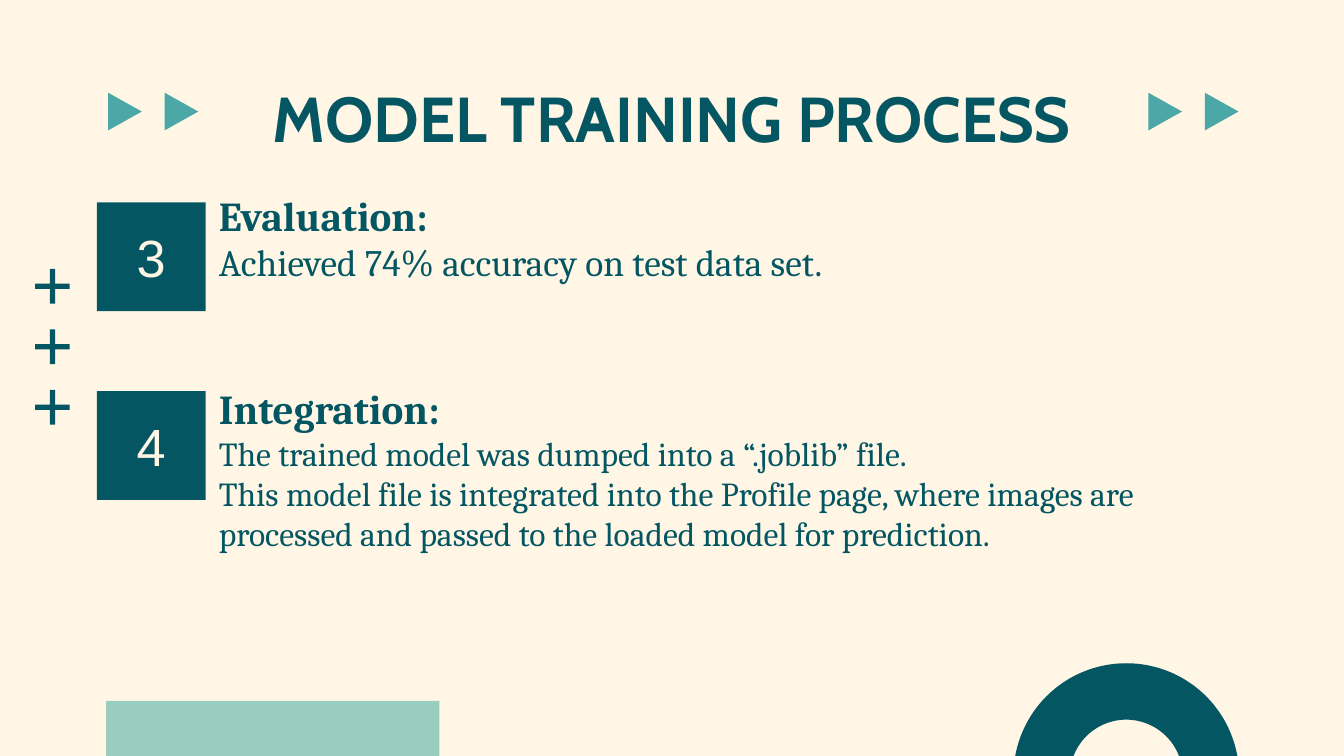
from dataclasses import dataclass

from pptx import Presentation
from pptx.dml.color import RGBColor
from pptx.enum.shapes import MSO_SHAPE
from pptx.enum.text import MSO_ANCHOR, PP_ALIGN
from pptx.util import Emu, Pt

RECTANGLE = MSO_SHAPE.RECTANGLE
DONUT = MSO_SHAPE.DONUT
PLUS = MSO_SHAPE.MATH_PLUS
TRIANGLE = MSO_SHAPE.ISOSCELES_TRIANGLE
LEFT, CENTER = PP_ALIGN.LEFT, PP_ALIGN.CENTER
TOP, MIDDLE = MSO_ANCHOR.TOP, MSO_ANCHOR.MIDDLE

EMU_PER_PX = 4572
SLIDE_WIDTH, SLIDE_HEIGHT = 2000, 1125
INSET = 20


@dataclass(frozen=True)
class Theme:
    cream: str = "FFF6E6"
    navy: str = "045762"
    teal: str = "4CA7A7"
    mint: str = "99CEBE"
    title_font: str = "Cabin"
    body_font: str = "Cambria"
    number_font: str = "Arial"
    title_size: int = 34
    number_size: int = 28
    heading_size: int = 22
    result_size: int = 20
    detail_size: int = 18
    step_gap: int = 53


@dataclass(frozen=True)
class Box:
    left: int
    top: int
    width: int
    height: int


@dataclass(frozen=True)
class Figure:
    kind: MSO_SHAPE
    box: Box
    color: str
    rotation: int = 0
    adjustment: float | None = None


@dataclass(frozen=True)
class Step:
    number: str
    top: int
    heading: str
    details: tuple[str, ...]
    detail_size: int
    space_before: int = 0


THEME = Theme()

STEPS = (
    Step("3", 301, "Evaluation:", ("Achieved 74% accuracy on test data set.",), THEME.result_size),
    Step(
        "4",
        582,
        "Integration:",
        (
            "The trained model was dumped into a “.joblib” file.",
            "This model file is integrated into the Profile page, where images are "
            "processed and passed to the loaded model for prediction.",
        ),
        THEME.detail_size,
        THEME.step_gap,
    ),
)

DECORATIONS = (
    Figure(RECTANGLE, Box(158, 1043, 496, 82), THEME.mint),
    Figure(DONUT, Box(1508, 987, 336, 336), THEME.navy, adjustment=0.25),
    *(Figure(PLUS, Box(43, 391 + 90 * row, 70, 70), THEME.navy, 90, 0.11) for row in range(3)),
    *(
        Figure(TRIANGLE, Box(start + 84 * column, 141, 56, 50), THEME.teal, 90)
        for start in (158, 1706)
        for column in range(2)
    ),
)


def px(length: int) -> Emu:
    return Emu(length * EMU_PER_PX)


def place(box: Box) -> tuple[Emu, Emu, Emu, Emu]:
    return px(box.left), px(box.top), px(box.width), px(box.height)


def draw_figure(slide, figure: Figure):
    shape = slide.shapes.add_shape(figure.kind, *place(figure.box))
    shape.shadow.inherit = False
    shape.fill.solid()
    shape.fill.fore_color.rgb = RGBColor.from_string(figure.color)
    shape.line.fill.background()
    shape.rotation = figure.rotation
    if figure.adjustment is not None:
        shape.adjustments[0] = figure.adjustment
    return shape


def prepare_frame(shape, anchor: MSO_ANCHOR = TOP):
    frame = shape.text_frame
    frame.word_wrap = True
    frame.vertical_anchor = anchor
    frame.margin_left = frame.margin_right = px(INSET)
    frame.margin_top = frame.margin_bottom = px(INSET)
    return frame


def write(paragraph, text: str, *, font: str, size: int, color: str = THEME.navy,
          bold: bool = False, align: PP_ALIGN = LEFT, space_before: int = 0) -> None:
    paragraph.alignment = align
    if space_before:
        paragraph.space_before = Pt(space_before)
    run = paragraph.add_run()
    run.text = text
    run.font.name = font
    run.font.size = Pt(size)
    run.font.bold = bold
    run.font.color.rgb = RGBColor.from_string(color)


def draw_title(slide, text: str) -> None:
    frame = prepare_frame(slide.shapes.add_textbox(*place(Box(157, 98, 1686, 126))))
    write(frame.paragraphs[0], text, font=THEME.title_font, size=THEME.title_size,
          bold=True, align=CENTER)


def draw_steps(slide, steps: tuple[Step, ...]) -> None:
    frame = prepare_frame(slide.shapes.add_textbox(*place(Box(306, 263, 1482, 656))))
    paragraph = frame.paragraphs[0]
    for index, step in enumerate(steps):
        if index:
            paragraph = frame.add_paragraph()
        write(paragraph, step.heading, font=THEME.body_font, size=THEME.heading_size,
              bold=True, space_before=step.space_before)
        for detail in step.details:
            write(frame.add_paragraph(), detail, font=THEME.body_font, size=step.detail_size)


def draw_number(slide, step: Step) -> None:
    shape = draw_figure(slide, Figure(RECTANGLE, Box(144, step.top, 162, 162), THEME.navy))
    frame = prepare_frame(shape, MIDDLE)
    write(frame.paragraphs[0], step.number, font=THEME.number_font, size=THEME.number_size,
          color=THEME.cream, align=CENTER)


def main() -> None:
    presentation = Presentation()
    presentation.slide_width = px(SLIDE_WIDTH)
    presentation.slide_height = px(SLIDE_HEIGHT)
    slide = presentation.slides.add_slide(presentation.slide_layouts[6])
    slide.background.fill.solid()
    slide.background.fill.fore_color.rgb = RGBColor.from_string(THEME.cream)

    for figure in DECORATIONS:
        draw_figure(slide, figure)
    draw_title(slide, "MODEL TRAINING PROCESS")
    draw_steps(slide, STEPS)
    for step in STEPS:
        draw_number(slide, step)

    presentation.save("out.pptx")


if __name__ == "__main__":
    main()
